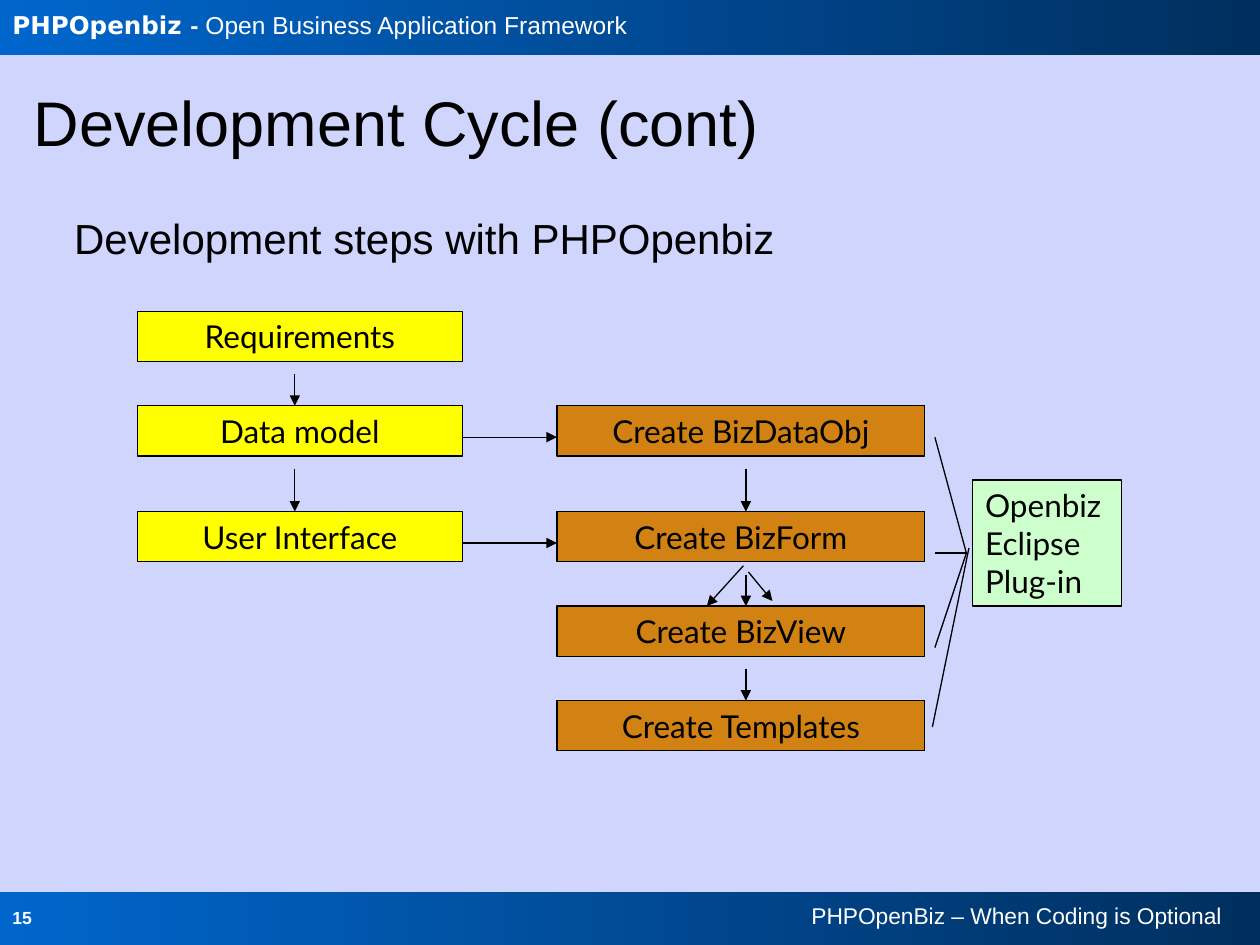
from lxml.etree import SubElement
from pptx import Presentation
from pptx.dml.color import RGBColor
from pptx.enum.shapes import MSO_CONNECTOR, MSO_SHAPE
from pptx.enum.text import MSO_ANCHOR, PP_ALIGN
from pptx.oxml.ns import qn
from pptx.util import Inches, Pt

COLORS = {
    "background": "D0D5FE", "bar_left": "0066CC", "bar_right": "002F5E",
    "white": "FFFFFF", "black": "000000",
    "analysis": "FFFF00", "build": "D18213", "plugin": "CCFFCC",
}

# Content: each run is (text, size, font, bold)
HEADER = [("PHPOpenbiz ", 14, "DejaVu Sans", True), ("- ", 14, "Arial", True),
          ("Open Business Application Framework", 14, "Arial", False)]
PAGE_NUMBER = [("15", 10, "Arial", True)]
FOOTER = [("PHPOpenBiz – When Coding is Optional ", 13, "Arial", False)]
TITLE = [("Development Cycle (cont)", 36, "Arial", False)]
SUBTITLE = [("Development steps with PHPOpenbiz", 24, "Arial", False)]
PLUGIN = ["Openbiz", "Eclipse", "Plug-in"]

# Step columns: left, width, arrow x, first row, labels
ROW_TOPS = [2.47, 3.22, 4.06, 4.81, 5.56]
STEP_HEIGHT = 0.4
STEPS = {
    "analysis": (1.09, 2.58, 2.34, 0,
                 ["Requirements", "Data model", "User Interface"]),
    "build": (4.42, 2.92, 5.92, 1,
              ["Create BizDataObj", "Create BizForm", "Create BizView",
               "Create Templates"]),
}
LINKED_ROWS = [1, 2]
FORM_TO_VIEWS = [((5.94, 4.54), (6.13, 4.77)), ((5.9, 4.49), (5.61, 4.81))]
PLUGIN_LINKS = [((7.42, 3.47), (7.67, 4.39)), ((7.42, 5.14), (7.67, 4.39)),
                ((7.42, 4.39), (7.67, 4.39)), ((7.4, 5.77), (7.69, 4.35))]


def rgb(name):
    return RGBColor.from_string(COLORS[name])


def write(frame, paragraphs, color="black", align=PP_ALIGN.LEFT,
          anchor=MSO_ANCHOR.TOP, wrap=True):
    frame.word_wrap = wrap
    frame.vertical_anchor = anchor
    for i, runs in enumerate(paragraphs):
        para = frame.add_paragraph() if i else frame.paragraphs[0]
        para.alignment = align
        for text, size, font, bold in runs:
            run = para.add_run()
            run.text = text
            run.font.size = Pt(size)
            run.font.name = font
            run.font.bold = bold
            run.font.color.rgb = rgb(color)


def add_text(slide, box, runs, **style):
    frame = slide.shapes.add_textbox(*map(Inches, box)).text_frame
    write(frame, [runs], **style)
    return frame


def add_rect(slide, *box):
    rect = slide.shapes.add_shape(MSO_SHAPE.RECTANGLE, *map(Inches, box))
    rect.shadow.inherit = False
    return rect


def add_bar(slide, top, height):
    bar = add_rect(slide, 0, top, 10, height)
    bar.line.fill.background()
    bar.fill.gradient()
    bar.fill.gradient_angle = 0
    for stop, color in zip(bar.fill.gradient_stops, ("bar_left", "bar_right")):
        stop.color.rgb = rgb(color)


def add_box(slide, box, fill, lines, **style):
    rect = add_rect(slide, *box)
    rect.fill.solid()
    rect.fill.fore_color.rgb = rgb(fill)
    rect.line.color.rgb = rgb("black")
    rect.line.width = Pt(0.75)
    write(rect.text_frame, [[(line, 18, "Lato", False)] for line in lines], **style)


def add_line(slide, start, end, arrow=False):
    line = slide.shapes.add_connector(
        MSO_CONNECTOR.STRAIGHT, *map(Inches, (*start, *end)))
    line.line.color.rgb = rgb("black")
    line.line.width = Pt(0.75)
    if arrow:
        SubElement(line.line._get_or_add_ln(), qn("a:tailEnd"), type="triangle")
    SubElement(line._element.spPr, qn("a:effectLst"))


def main():
    prs = Presentation()
    prs.slide_width, prs.slide_height = Inches(10), Inches(7.5)
    slide = prs.slides.add_slide(prs.slide_layouts[6])
    slide.background.fill.solid()
    slide.background.fill.fore_color.rgb = rgb("background")

    # Header and footer bars
    add_bar(slide, 0, 0.44)
    add_text(slide, (0, 0.03, 7.6, 0.34), HEADER, color="white")
    add_bar(slide, 7.08, 0.42)
    add_text(slide, (0, 7.15, 0.45, 0.35), PAGE_NUMBER, color="white")
    add_text(slide, (3.61, 7.11, 6.23, 0.27), FOOTER, color="white",
             align=PP_ALIGN.RIGHT)

    # Title and subtitle
    title = add_text(slide, (0.17, 0.68, 9.83, 0.64), TITLE,
                     anchor=MSO_ANCHOR.MIDDLE)
    title.paragraphs[0].line_spacing = 0.9
    add_text(slide, (0.49, 1.64, 8.75, 4.85), SUBTITLE)

    # Steps, with an arrow down to each following step
    for kind, (left, width, arrow_x, first_row, labels) in STEPS.items():
        tops = ROW_TOPS[first_row:first_row + len(labels)]
        for top, label in zip(tops, labels):
            add_box(slide, (left, top, width, STEP_HEIGHT), kind, [label],
                    align=PP_ALIGN.CENTER)
        for top, next_top in zip(tops, tops[1:]):
            add_line(slide, (arrow_x, top + STEP_HEIGHT + 0.1),
                     (arrow_x, next_top), arrow=True)

    # Arrows from analysis to build
    analysis_left, analysis_width = STEPS["analysis"][:2]
    build_left = STEPS["build"][0]
    for row in LINKED_ROWS:
        y = ROW_TOPS[row] + 0.25
        add_line(slide, (analysis_left + analysis_width, y), (build_left, y),
                 arrow=True)
    for start, end in FORM_TO_VIEWS:
        add_line(slide, start, end, arrow=True)

    # Plug-in and its links to the build steps
    add_box(slide, (7.72, 3.81, 1.18, 1), "plugin", PLUGIN, wrap=False)
    for start, end in PLUGIN_LINKS:
        add_line(slide, start, end)

    prs.save("out.pptx")


if __name__ == "__main__":
    main()
